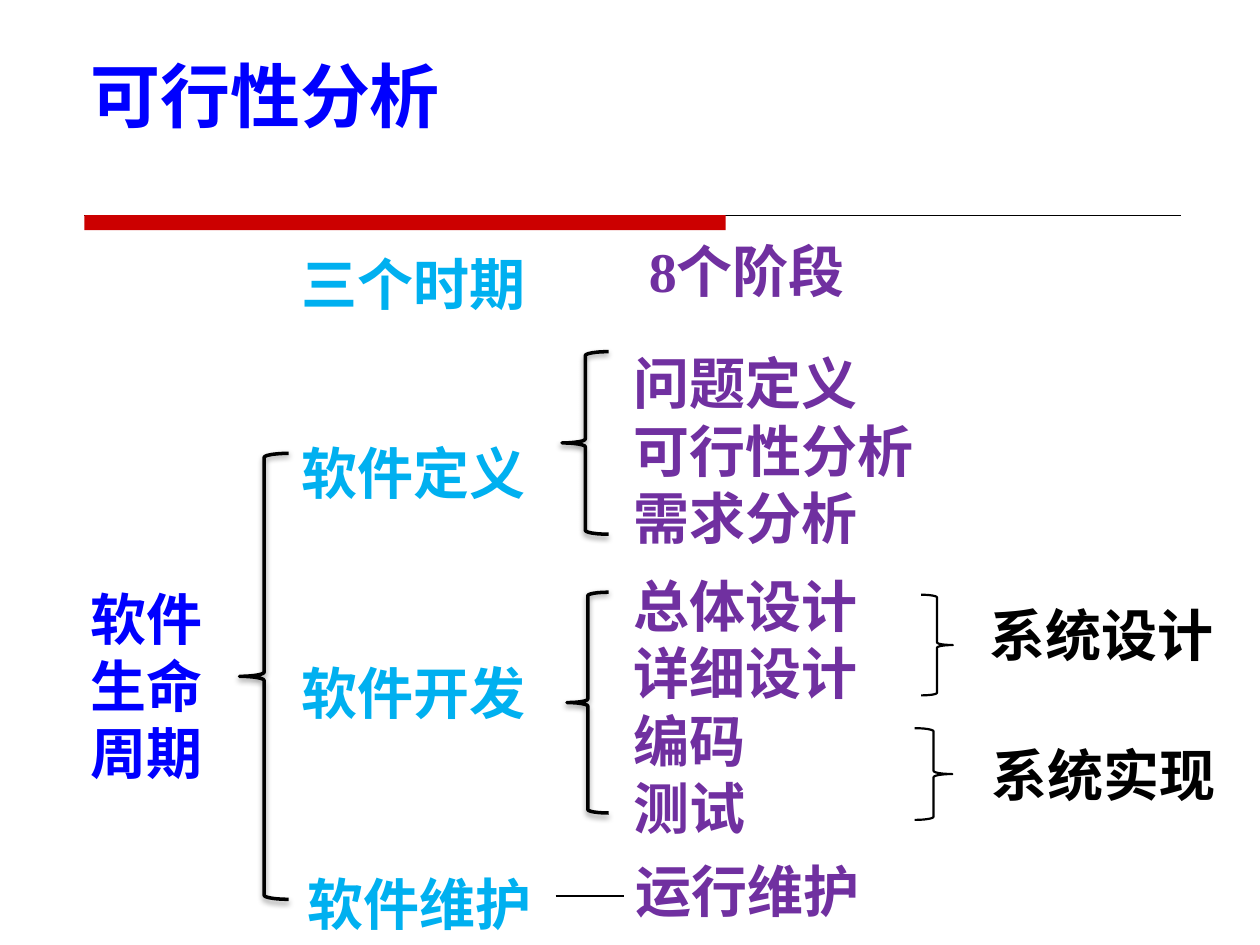
from lxml.etree import SubElement
from pptx import Presentation
from pptx.dml.color import RGBColor
from pptx.enum.shapes import MSO_CONNECTOR, MSO_SHAPE
from pptx.enum.text import MSO_ANCHOR, MSO_AUTO_SIZE
from pptx.oxml.ns import qn
from pptx.util import Cm, Pt

BLUE = RGBColor(0x00, 0x00, 0xFF)
SKY = RGBColor(0x00, 0xB0, 0xF0)
PURPLE = RGBColor(0x70, 0x30, 0xA0)
RED = RGBColor(0xCC, 0x00, 0x00)
BLACK = RGBColor(0x00, 0x00, 0x00)
LATIN_FONT = "Times New Roman"
CHINESE_FONT = "Noto Sans CJK SC"
LINE_HEIGHT = 1.63

# text, left, top, width, height
PERIODS = [
    ("三个时期", 5.82, 4.9, 5.38, LINE_HEIGHT),
    ("软件定义", 5.82, 8.71, 5.99, LINE_HEIGHT),
    ("软件开发", 5.82, 13.16, 5.99, LINE_HEIGHT),
    ("软件维护", 5.94, 17.4, 5.99, LINE_HEIGHT),
]
STAGES = [
    ("8个阶段", 12.83, 4.65, 5.38, LINE_HEIGHT),
    ("问题定义\n可行性分析\n需求分析", 12.52, 6.91, 6.68, 4.37),
    ("总体设计\n详细设计\n编码\n测试", 12.52, 11.4, 6.68, 5.74),
    ("运行维护", 12.57, 17.15, 5.99, LINE_HEIGHT),
]
SUMMARIES = [
    ("系统设计", 19.69, 11.99, 5.08, LINE_HEIGHT),
    ("系统实现", 19.74, 14.81, 5.08, LINE_HEIGHT),
]
# left, top, width, height
LEFT_BRACES = [
    (4.83, 9.14, 0.99, 8.99),
    (11.33, 7.09, 0.94, 3.68),
    (11.43, 11.94, 0.84, 4.45),
]
RIGHT_BRACES = [(18.57, 11.99, 0.64, 2.03), (18.44, 14.68, 0.76, 1.85)]


def add_text(slide, text, left, top, width, height, *, color, size=32,
             font=LATIN_FONT, anchor=MSO_ANCHOR.TOP, wrap=True, grow=True):
    """Add a bold text box with one paragraph per line of text."""
    box = slide.shapes.add_textbox(Cm(left), Cm(top), Cm(width), Cm(height))
    frame = box.text_frame
    frame.word_wrap = wrap
    frame.auto_size = MSO_AUTO_SIZE.SHAPE_TO_FIT_TEXT if grow else MSO_AUTO_SIZE.NONE
    frame.vertical_anchor = anchor
    frame.text = text
    for paragraph in frame.paragraphs:
        for run in paragraph.runs:
            run.font.name = font
            run.font.size = Pt(size)
            run.font.bold = True
            run.font.color.rgb = color
            properties = run._r.get_or_add_rPr()
            SubElement(properties, qn("a:ea"), typeface=CHINESE_FONT)


def add_soft_shadow(shape):
    effects = shape._element.spPr.find(qn("a:effectLst"))
    shadow = SubElement(effects, qn("a:outerShdw"), blurRad="40000",
                        dist="20000", dir="5400000", rotWithShape="0")
    color = SubElement(shadow, qn("a:srgbClr"), val=str(BLACK))
    SubElement(color, qn("a:alpha"), val="38000")


def add_brace(slide, kind, left, top, width, height, *, weight, shadow=False):
    brace = slide.shapes.add_shape(kind, Cm(left), Cm(top), Cm(width), Cm(height))
    brace.shadow.inherit = False
    brace.fill.background()
    brace.line.color.rgb = BLACK
    brace.line.width = Pt(weight)
    if shadow:
        add_soft_shadow(brace)


def add_horizontal_line(slide, left, right, y, *, weight):
    line = slide.shapes.add_connector(
        MSO_CONNECTOR.STRAIGHT, Cm(left), Cm(y), Cm(right), Cm(y))
    line.line.color.rgb = BLACK
    line.line.width = Pt(weight)
    SubElement(line._element.spPr, qn("a:effectLst"))


def add_title_rule(slide):
    """Add the thin rule under the title and its thick red part."""
    left, top = 1.7, 4.34
    add_horizontal_line(slide, left, 23.8, top, weight=0.75)
    bar = slide.shapes.add_shape(
        MSO_SHAPE.RECTANGLE, Cm(left), Cm(top), Cm(12.93), Cm(0.3))
    bar.shadow.inherit = False
    bar.fill.solid()
    bar.fill.fore_color.rgb = RED
    bar.line.fill.background()


def main():
    presentation = Presentation()
    presentation.slide_width = Cm(25.4)
    presentation.slide_height = Cm(19.05)
    slide = presentation.slides.add_slide(presentation.slide_layouts[6])

    add_title_rule(slide)
    add_text(slide, "可行性分析", 1.57, 0.66, 19.51, 2.21, color=BLUE, size=40,
             font=CHINESE_FONT, anchor=MSO_ANCHOR.BOTTOM, grow=False)
    add_text(slide, "软件生命周期", 1.57, 11.66, 3.63, 4.37, color=BLUE)
    for period in PERIODS:
        add_text(slide, *period, color=SKY)
    for stage in STAGES:
        add_text(slide, *stage, color=PURPLE)
    for summary in SUMMARIES:
        add_text(slide, *summary, color=BLACK, wrap=False)

    for place in LEFT_BRACES:
        add_brace(slide, MSO_SHAPE.LEFT_BRACE, *place, weight=2, shadow=True)
    for place in RIGHT_BRACES:
        add_brace(slide, MSO_SHAPE.RIGHT_BRACE, *place, weight=1.25)
    add_horizontal_line(slide, 11.2, 12.57, 18.06, weight=1)

    presentation.save("out.pptx")


if __name__ == "__main__":
    main()
